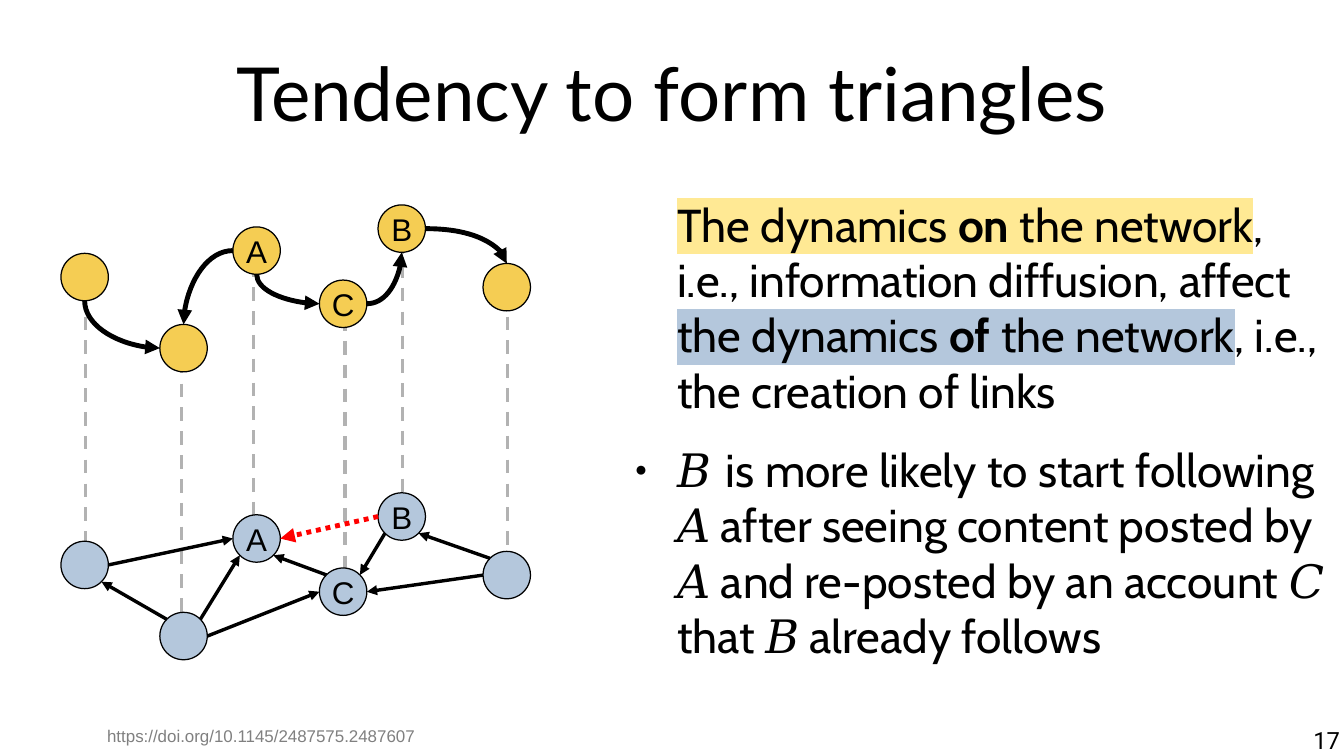
"""Build a slide on how information diffusion closes triangles in a network."""
import math

import lxml.etree
import pptx
import pptx.dml.color
import pptx.enum.dml
import pptx.enum.shapes
import pptx.enum.text
import pptx.oxml.ns
import pptx.util

Pt = pptx.util.Pt
qn = pptx.oxml.ns.qn
Align = pptx.enum.text.PP_ALIGN
Anchor = pptx.enum.text.MSO_ANCHOR
Dash = pptx.enum.dml.MSO_LINE
Connector = pptx.enum.shapes.MSO_CONNECTOR


def color(value):
    return pptx.dml.color.RGBColor.from_string(value)


def add_xml(parent, tag, **attributes):
    return lxml.etree.SubElement(parent, qn(tag), attributes)


class NetworkSlide:
    ink, guide, new_link = "000000", "B2B2B2", "FF0000"
    diffusion, follows = "F5CD53", "B4C7DC"
    radius, bold_width = 14, 2.89

    def __init__(self, deck):
        self.slide = deck.slides.add_slide(deck.slide_layouts[1])

    def place(self, holder, left, top, width, height, anchor):
        holder.left, holder.top = Pt(left), Pt(top)
        holder.width, holder.height = Pt(width), Pt(height)
        return self.frame(holder, anchor)

    def frame(self, holder, anchor):
        frame = holder.text_frame
        frame.margin_left = frame.margin_right = 0
        frame.margin_top = frame.margin_bottom = 0
        frame.auto_size = pptx.enum.text.MSO_AUTO_SIZE.NONE
        frame.word_wrap = True
        frame.vertical_anchor = anchor
        return frame

    def style(self, paragraph, size, font=None, tint=ink, align=Align.LEFT):
        paragraph.alignment = align
        paragraph.font.size = Pt(size)
        paragraph.font.color.rgb = color(tint)
        if font:
            paragraph.font.name = font

    def title(self, text, *box):
        heading = self.place(self.slide.shapes.title, *box, Anchor.MIDDLE).paragraphs[0]
        heading.text = text
        self.style(heading, 44, "Lato", align=Align.CENTER)

    def body(self, statements, *box):
        frame = self.place(self.slide.placeholders[1], *box, Anchor.TOP)
        for number, (bulleted, pieces) in enumerate(statements):
            statement = frame.add_paragraph() if number else frame.paragraphs[0]
            self.bullet(statement, bulleted)
            statement.space_before = Pt(14.2)
            self.style(statement, 27.2)
            for text, font, bold, italic, highlight in pieces:
                run = statement.add_run()
                run.text = text
                run.font.name, run.font.bold, run.font.italic = font, bold, italic
                if highlight:
                    marker = lxml.etree.Element(qn("a:highlight"))
                    add_xml(marker, "a:srgbClr", val=highlight)
                    run.font._element.insert(0, marker)

    def bullet(self, paragraph, shown):
        properties = paragraph._p.get_or_add_pPr()
        properties.set("marL", str(Pt(34)))
        properties.set("indent", str(Pt(-25 if shown else 0)))
        if not shown:
            add_xml(properties, "a:buNone")
            return
        add_xml(add_xml(properties, "a:buClr"), "a:srgbClr", val=self.ink)
        add_xml(properties, "a:buSzPct", val="45000")
        add_xml(properties, "a:buFont", typeface="Arial")
        add_xml(properties, "a:buChar", char="●")

    def label(self, text, left, top, width, height, size, font, tint, align):
        holder = self.slide.shapes.add_textbox(Pt(left), Pt(top), Pt(width), Pt(height))
        line = self.frame(holder, Anchor.TOP).paragraphs[0]
        line.text = text
        self.style(line, size, font, tint, align)

    def node(self, center, fill, name):
        corner = [Pt(value - self.radius) for value in center]
        circle = self.slide.shapes.add_shape(
            pptx.enum.shapes.MSO_SHAPE.OVAL, *corner, *[Pt(2 * self.radius)] * 2)
        circle.shadow.inherit = False
        circle.fill.solid()
        circle.fill.fore_color.rgb = color(fill)
        circle.line.color.rgb = color(self.ink)
        circle.line.width = Pt(0)
        if name:
            frame = self.frame(circle, Anchor.MIDDLE)
            frame.word_wrap = False
            frame.paragraphs[0].text = name
            self.style(frame.paragraphs[0], 18.5, "Arial", align=Align.CENTER)

    def site(self, center, angle):
        turn = math.radians(angle)
        return (center[0] + self.radius * math.cos(turn),
                center[1] + self.radius * math.sin(turn))

    def line(self, start, end, tint=ink, width=0, dash=None, arrow=True,
             kind=Connector.STRAIGHT):
        link = self.slide.shapes.add_connector(
            kind, *[Pt(value) for value in (*start, *end)])
        link.line.color.rgb = color(tint)
        link.line.width = Pt(width)
        if dash:
            link.line.dash_style = dash
        if arrow:
            add_xml(link.line._get_or_add_ln(), "a:tailEnd", type="triangle")
        add_xml(link._element.spPr, "a:effectLst")
        return link

    def curve(self, start, end, vertical_first):
        if vertical_first:
            (x1, y1), (x2, y2) = start, end
            middle_x, middle_y = (x1 + x2) / 2, (y1 + y2) / 2
            half_x, half_y = (x2 - x1) / 2, (y2 - y1) / 2
            start = middle_x + half_y, middle_y - half_x
            end = middle_x - half_y, middle_y + half_x
        link = self.line(start, end, width=self.bold_width, kind=Connector.CURVE)
        properties = link._element.spPr
        properties.find(qn("a:prstGeom")).set("prst", "curvedConnector2")
        if vertical_first:
            properties.find(qn("a:xfrm")).set("rot", str(270 * 60000))


def main():
    deck = pptx.Presentation()
    deck.slide_width, deck.slide_height = Pt(793.44), Pt(446.4)
    page = NetworkSlide(deck)
    page.title("Tendency to form triangles", 39.6, 0.7, 714.2, 107.3)

    def words(text, highlight=None, bold=False):
        return text, "Cabin", bold, False, highlight

    def symbol(text):
        return text, "DejaVu Serif", False, True, None

    on_mark, of_mark = "FFE994", page.follows
    page.body([
        (False, [words("The dynamics ", on_mark), words("on", on_mark, True),
                 words(" the network", on_mark),
                 words(", i.e., information diffusion, affect "),
                 words("the dynamics ", of_mark), words("of", of_mark, True),
                 words(" the network", of_mark),
                 words(", i.e., the creation of links")]),
        (True, [symbol("B "), words("is more likely to start following "),
                symbol("A"), words(" after seeing content posted by "),
                symbol("A"), words(" and re-posted by an account "),
                symbol("C "), words("that "), symbol("B"),
                words(" already follows")]),
    ], 365.8, 115.9, 417.6, 301.7)

    page.label("https://doi.org/10.1145/2487575.2487607", 36, 428.4, 236, 18,
               10, "Arial", "808080", Align.CENTER)
    page.label("17", 606.2, 428.4, 185, 18, 14, "Roboto", page.ink, Align.RIGHT)

    layer_gap, guide_length = 170, 165.6
    accounts = {"left": (50, 163.6), "low": (108.4, 205.6), "A": (151.5, 148),
                "C": (202.6, 179.4), "B": (237.2, 135), "right": (299.2, 169.6)}
    below = {name: (x, y + layer_gap) for name, (x, y) in accounts.items()}

    for x, top in [(50.4, 172.8), (107.3, 212.4), (149.8, 155.5),
                   (203.8, 187.2), (237.6, 141.8), (299.5, 172.8)]:
        page.line((x, top), (x, top + guide_length), page.guide,
                  dash=Dash.DASH, arrow=False)

    for layer, fill in ((below, page.follows), (accounts, page.diffusion)):
        for name, center in layer.items():
            page.node(center, fill, name if len(name) == 1 else "")

    east, southeast, south, southwest = 0, 45, 90, 135
    west, northwest, north, northeast = 180, 225, 270, 315
    for source, leave, target, enter in [
            ("A", south, "C", west), ("C", east, "B", south),
            ("B", east, "right", north), ("A", west, "low", north),
            ("left", south, "low", west)]:
        page.curve(page.site(accounts[source], leave),
                   page.site(accounts[target], enter), leave == south)

    for source, leave, target, enter in [
            ("low", northwest, "left", southeast), ("low", east, "C", west),
            ("C", northwest, "A", southeast), ("B", southwest, "C", northeast),
            ("right", west, "C", east), ("right", northwest, "B", southeast),
            ("low", northeast, "A", southwest), ("left", east, "A", west)]:
        page.line(page.site(below[source], leave), page.site(below[target], enter))
    page.line(page.site(below["B"], west), page.site(below["A"], east),
              page.new_link, page.bold_width, Dash.ROUND_DOT)

    deck.save("out.pptx")


if __name__ == "__main__":
    main()
